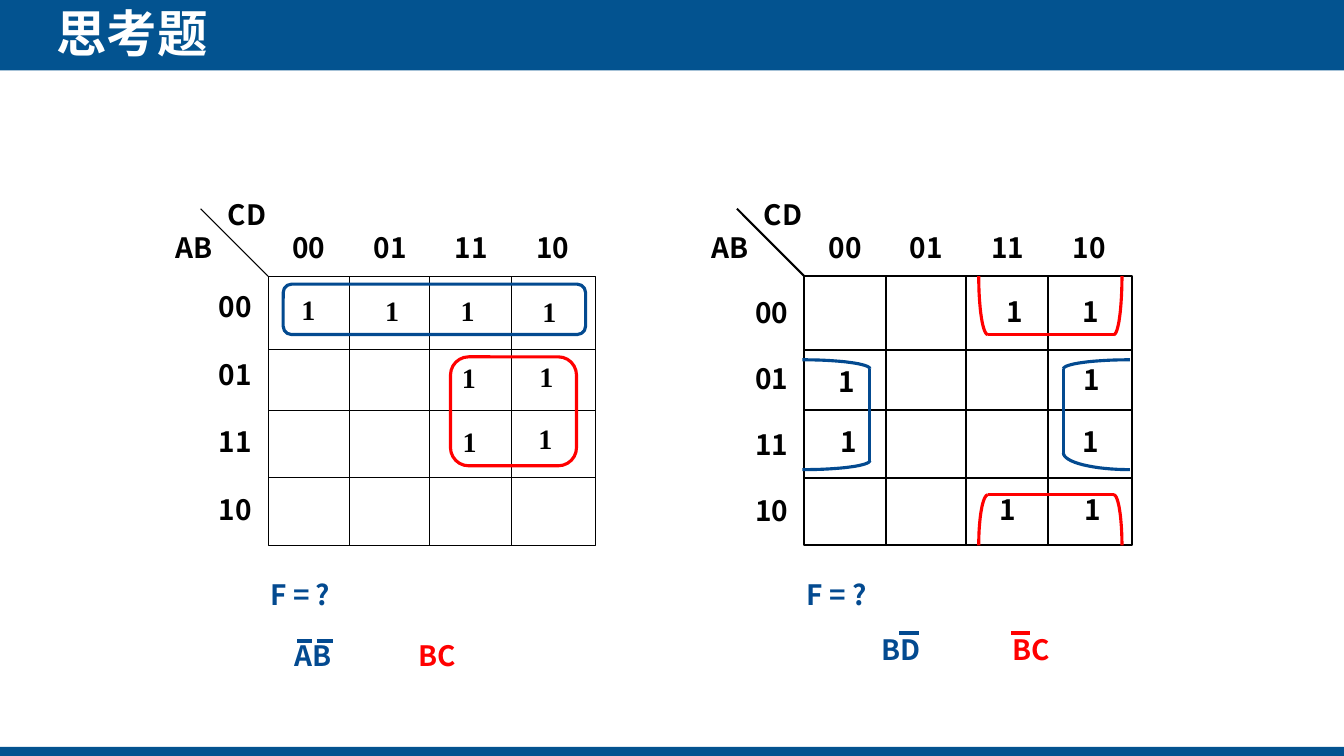
from dataclasses import dataclass
from math import cos, pi, sin

from lxml.etree import SubElement
from pptx import Presentation
from pptx.dml.color import RGBColor
from pptx.enum.shapes import MSO_CONNECTOR, MSO_SHAPE as Preset
from pptx.enum.text import MSO_ANCHOR as Anchor, MSO_AUTO_SIZE as AutoSize, PP_ALIGN as Align
from pptx.oxml.ns import qn
from pptx.util import Pt


@dataclass(frozen=True)
class Theme:
    bar = RGBColor(0x03, 0x53, 0x90)
    blue = RGBColor(0x03, 0x4A, 0x90)
    red = RGBColor(0xFF, 0x00, 0x00)
    black = RGBColor(0x00, 0x00, 0x00)
    white = RGBColor(0xFF, 0xFF, 0xFF)
    sans = "Noto Sans CJK SC"
    serif = "Times New Roman"
    title_size = 36
    text_size = 20
    loop_width = 2.25


theme = Theme()
deck = Presentation()
deck.slide_width, deck.slide_height = Pt(960), Pt(540)
page = deck.slides.add_slide(deck.slide_layouts[6])
shapes = page.shapes


def add_text(words, left, top, width, color=theme.black, font=theme.sans,
             size=theme.text_size, height=31.7, align=Align.LEFT, wrap=False):
    box = shapes.add_textbox(Pt(left), Pt(top), Pt(width), Pt(height))
    frame = box.text_frame
    frame.word_wrap = wrap
    frame.auto_size = AutoSize.SHAPE_TO_FIT_TEXT
    para = frame.paragraphs[0]
    para.alignment = align
    span = para.add_run()
    span.text = words
    span.font.name, span.font.size, span.font.bold = font, Pt(size), True
    span.font.color.rgb = color
    SubElement(span.font._element, qn("a:ea"), typeface=font)
    return frame


def add_line(start, end, color, width):
    line = shapes.add_connector(MSO_CONNECTOR.STRAIGHT, *map(Pt, start + end))
    line.line.color.rgb = color
    line.line.width = Pt(width)
    SubElement(line._element.spPr, qn("a:effectLst"))


# Title bar and footer bar
for top, height in ((0, 50.4), (533.5, 6.5)):
    bar = shapes.add_shape(Preset.RECTANGLE, 0, Pt(top), Pt(960), Pt(height))
    bar.shadow.inherit = False
    bar.fill.solid()
    bar.fill.fore_color.rgb = theme.bar
    bar.line.fill.background()

title = add_text("思考题", 40.3, 1.4, 617, theme.white, size=theme.title_size,
                 height=43.9, wrap=True)
title.vertical_anchor = Anchor.MIDDLE
title.margin_left = title.margin_top = title.margin_right = title.margin_bottom = 0

# Karnaugh maps
gray_code = ("00", "01", "11", "10")
map_top, map_width, map_height = 197.3, 234, 192.2
column_edges = (58.3, 115.2, 173.7)
row_edges = (52.6, 95.8, 144)
maps = (
    dict(left=191.5, stroke=0.75, font=theme.serif, one_width=24.5,
         row_label_top=203, row_label_step=48.5,
         ones=((208.1, 205.2), (267.8, 205.9), (321.8, 205.9), (380.2, 206.6),
               (322.6, 254.2), (378, 253.4), (323.3, 299.5), (377.3, 297.4))),
    dict(left=574.6, stroke=1.5, font=theme.sans, one_width=27.4,
         row_label_top=207.4, row_label_step=47.3,
         ones=((711.4, 206.6), (765.4, 206.6), (591.1, 257), (766.1, 255.6),
               (592.6, 299.5), (765.4, 299.5), (706.3, 348.5), (766.8, 348.5))),
)
for kmap in maps:
    left, stroke = kmap["left"], kmap["stroke"]
    border = shapes.add_shape(Preset.RECTANGLE, Pt(left), Pt(map_top),
                              Pt(map_width), Pt(map_height))
    border.shadow.inherit = False
    border.fill.background()
    border.line.color.rgb = theme.black
    border.line.width = Pt(stroke)
    for edge in column_edges:
        add_line((left + edge, map_top), (left + edge, map_top + map_height),
                 theme.black, stroke)
    for edge in row_edges:
        add_line((left, map_top + edge), (left + map_width, map_top + edge),
                 theme.black, stroke)
    add_line((left, map_top), (left - 48.2, map_top - 48.2), theme.black, stroke)

    add_text("AB", left - 73.4, 161.3, 43.2)
    add_text("CD", left - 36, 137.5, 43.9)
    for index, code in enumerate(gray_code):
        add_text(code, left + 10.1 + 58.1 * index, 161.3, 39.6)
        add_text(code, left - 42.2, kmap["row_label_top"] + kmap["row_label_step"] * index, 39.6)
    for one_left, one_top in kmap["ones"]:
        add_text("1", one_left, one_top, kmap["one_width"], font=kmap["font"],
                 align=Align.CENTER)
    add_text("F = ?", left - 5.5, 409, 204.5, theme.blue, wrap=True)

# Closed loops on the left map
for color, left, top, width, height in (
    (theme.red, 321.8, 254.9, 90, 77.8),
    (theme.blue, 202.3, 203, 216, 36),
):
    loop = shapes.add_shape(Preset.ROUNDED_RECTANGLE, Pt(left), Pt(top), Pt(width), Pt(height))
    loop.shadow.inherit = False
    loop.fill.background()
    loop.line.color.rgb = color
    loop.line.width = Pt(theme.loop_width)

# Open loops on the right map: straight spine, then the tip beyond each spine end
open_loops = (
    (theme.red, ((705.6, 239), (795.6, 239)), ((699.1, 197.3), (801.4, 197.3))),
    (theme.red, ((705.6, 353.5), (795.6, 353.5)), ((699.1, 389.5), (801.4, 389.5))),
    (theme.blue, ((621.4, 263.5), (621.4, 329)), ((573.1, 257), (573.1, 335.5))),
    (theme.blue, ((759.6, 263.5), (759.6, 323.5)), ((807.1, 257), (807.1, 335.5))),
)
arc_steps = 16
for color, spine, tips in open_loops:
    add_line(*spine, color, theme.loop_width)
    spine_is_level = spine[0][1] == spine[1][1]
    for corner, tip in zip(spine, tips):
        level_end, upright_end = (corner, tip) if spine_is_level else (tip, corner)
        points = []
        for step in range(arc_steps + 1):
            angle = pi / 2 * step / arc_steps
            points.append((
                Pt(level_end[0] + (upright_end[0] - level_end[0]) * sin(angle)),
                Pt(upright_end[1] + (level_end[1] - upright_end[1]) * cos(angle)),
            ))
        outline = shapes.build_freeform(*points[0])
        outline.add_line_segments(points[1:], close=False)
        arc = outline.convert_to_shape()
        arc.shadow.inherit = False
        arc.fill.background()
        arc.line.color.rgb = color
        arc.line.width = Pt(theme.loop_width)

# Product terms, with bars over the negated letters
terms = (
    ("AB", 203, 452.2, 68.4, theme.blue, Align.LEFT, 457.9, ((212.4, 223.2), (226.1, 237.6))),
    ("BC", 290.9, 452.2, 42.5, theme.red, Align.CENTER, 0, ()),
    ("BD", 622.8, 448.6, 79.2, theme.blue, Align.LEFT, 452.2, ((642.2, 656.6),)),
    ("BC", 694.1, 448.6, 85, theme.red, Align.CENTER, 452.2, ((722.2, 735.8),)),
)
for words, left, top, width, color, align, bar_top, bars in terms:
    add_text(words, left, top, width, color, align=align, wrap=True)
    for bar_left, bar_right in bars:
        add_line((bar_left, bar_top), (bar_right, bar_top), color, theme.loop_width)

deck.save("out.pptx")
